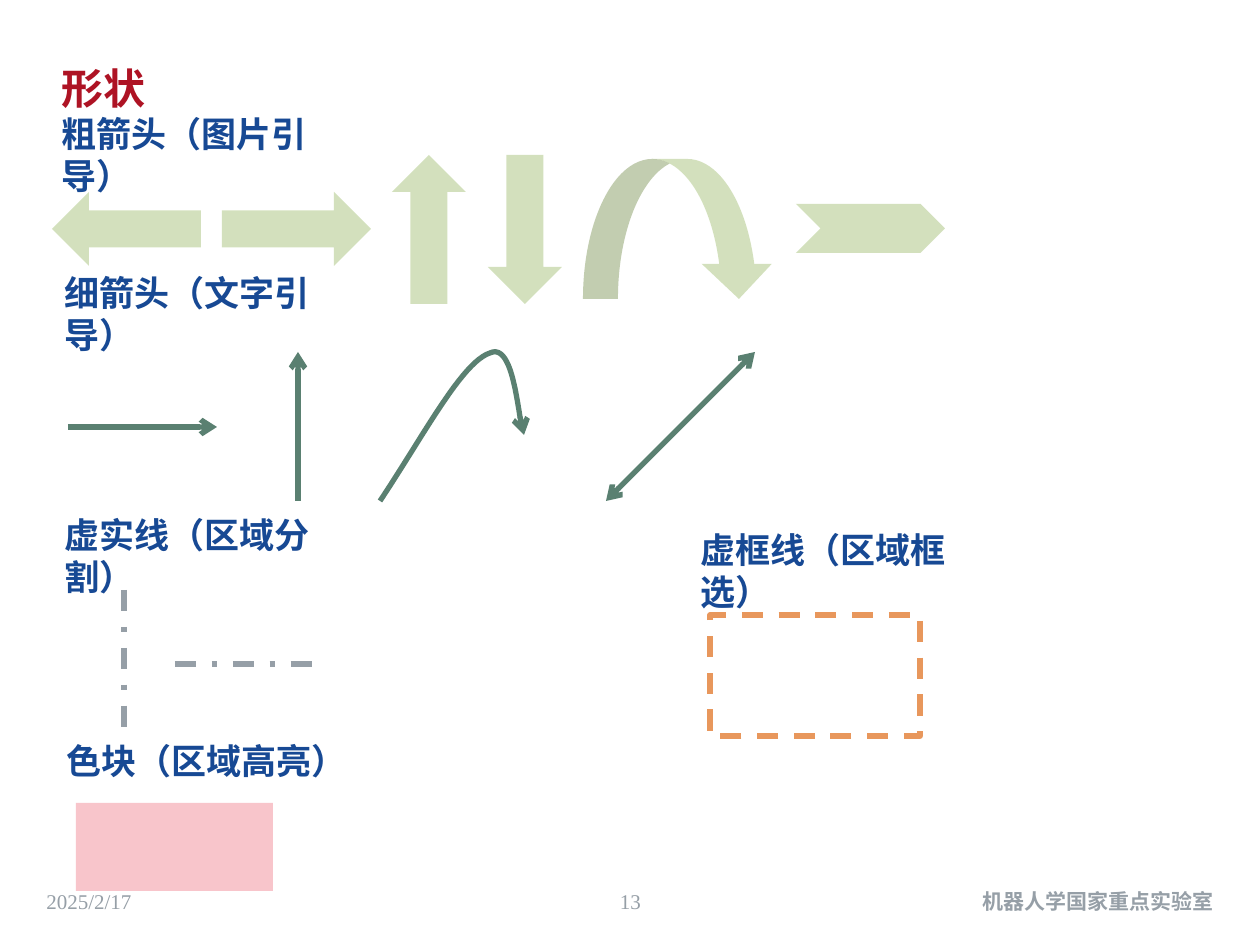
import pptx
import pptx.dml.color
import pptx.enum.dml
import pptx.enum.shapes
import pptx.enum.text
import pptx.oxml.ns
import pptx.util
from dataclasses import dataclass
from lxml import etree

Kind = pptx.enum.shapes.MSO_SHAPE
Dash = pptx.enum.dml.MSO_LINE
Align = pptx.enum.text.PP_ALIGN
qn = pptx.oxml.ns.qn
EMU_PER_PX = 914400 / 126


@dataclass(frozen=True)
class Theme:
    title: str = "AE1324"
    heading: str = "174994"
    footer: str = "969FA7"
    thick_arrow: str = "A9C37C"
    thin_arrow: str = "5A8071"
    divider: str = "969FA7"
    frame: str = "E8975C"
    block: str = "F38D98"
    title_size: int = 24
    heading_size: int = 20
    footer_size: int = 12
    line_width: int = 3
    serif: str = "Times New Roman"
    sans: str = "Noto Sans CJK SC"


THEME = Theme()


def px(value):
    return pptx.util.Emu(round(value * EMU_PER_PX))


def rgb(code):
    return pptx.dml.color.RGBColor.from_string(code)


def add_text(page, area, text, size, color, font, bold=False, align=Align.LEFT):
    box = page.shapes.add_textbox(*map(px, area))
    frame = box.text_frame
    frame.word_wrap = True
    frame.vertical_anchor = pptx.enum.text.MSO_ANCHOR.MIDDLE
    para = frame.paragraphs[0]
    para.text = text
    para.alignment = align
    para.font.size = pptx.util.Pt(size)
    para.font.bold = bold
    para.font.color.rgb = rgb(color)
    para.font.name = font
    # East Asian glyphs use the sans face
    properties = para._p.pPr.find(qn("a:defRPr"))
    etree.SubElement(properties, qn("a:ea"), typeface=THEME.sans)


def add_heading(page, left, top, text, width=312):
    add_text(page, (left, top, width, 55), text,
             THEME.heading_size, THEME.heading, THEME.sans, bold=True)


def add_footer(page, left, width, text, align, bold=False):
    add_text(page, (left, 876, width, 50), text,
             THEME.footer_size, THEME.footer, THEME.serif, bold, align)


def add_tinted_shape(page, kind, area, color):
    shape = page.shapes.add_shape(kind, *map(px, area))
    shape.shadow.inherit = False
    shape.line.fill.background()
    shape.fill.solid()
    shape.fill.fore_color.rgb = rgb(color)
    tint = shape._element.spPr.find(".//" + qn("a:srgbClr"))
    etree.SubElement(tint, qn("a:alpha"), val="50000")


def style_line(line, color, dash=None, ends=()):
    line.color.rgb = rgb(color)
    line.width = pptx.util.Pt(THEME.line_width)
    if dash is not None:
        line.dash_style = dash
    for end in ends:
        etree.SubElement(line._get_or_add_ln(), qn(f"a:{end}"), type="arrow")


def add_line(page, start, finish, color, dash=None, ends=()):
    connector = page.shapes.add_connector(
        pptx.enum.shapes.MSO_CONNECTOR.STRAIGHT, *map(px, start + finish))
    etree.SubElement(connector._element.spPr, qn("a:effectLst"))
    style_line(connector.line, color, dash, ends)


def bezier_points(start, first, second, finish, steps=24):
    for step in range(1, steps + 1):
        t = step / steps
        weights = ((1 - t) ** 3, 3 * t * (1 - t) ** 2, 3 * t * t * (1 - t), t ** 3)
        corners = (start, first, second, finish)
        yield tuple(px(sum(w * corner[axis] for w, corner in zip(weights, corners)))
                    for axis in (0, 1))


def add_curved_arrow(page, start, segments, color):
    builder = page.shapes.build_freeform(px(start[0]), px(start[1]))
    for segment in segments:
        builder.add_line_segments(bezier_points(start, *segment), close=False)
        start = segment[-1]
    curve = builder.convert_to_shape()
    curve.shadow.inherit = False
    curve.fill.background()
    style_line(curve.line, color, ends=("tailEnd",))


def add_dashed_frame(page, area):
    frame = page.shapes.add_shape(Kind.RECTANGLE, *map(px, area))
    frame.shadow.inherit = False
    frame.fill.background()
    style_line(frame.line, THEME.frame, Dash.DASH)


def main():
    deck = pptx.Presentation()
    deck.slide_width, deck.slide_height = px(1260), px(945)
    page = deck.slides.add_slide(deck.slide_layouts[6])

    # Footer and title
    add_footer(page, 34, 297, "2025/2/17", Align.LEFT)
    add_footer(page, 830, 396, "机器人学国家重点实验室", Align.RIGHT, bold=True)
    add_footer(page, 494, 273, "13", Align.CENTER)
    add_text(page, (49, 38, 536, 100), "形状",
             THEME.title_size, THEME.title, THEME.serif, bold=True)

    # Thick arrows
    for kind, area in (
        (Kind.LEFT_ARROW, (52, 192, 149, 74)),
        (Kind.RIGHT_ARROW, (222, 192, 149, 74)),
        (Kind.UP_ARROW, (392, 155, 74, 149)),
        (Kind.DOWN_ARROW, (488, 155, 74, 149)),
        (Kind.CURVED_DOWN_ARROW, (583, 159, 191, 140)),
        (Kind.CHEVRON, (796, 204, 149, 49)),
    ):
        add_tinted_shape(page, kind, area, THEME.thick_arrow)

    # Thin arrows
    for start, finish, ends in (
        ((68, 427), (217, 427), ("tailEnd",)),
        ((298, 501), (298, 352), ("tailEnd",)),
        ((606, 501), (755, 352), ("headEnd", "tailEnd")),
    ):
        add_line(page, start, finish, THEME.thin_arrow, ends=ends)
    add_curved_arrow(page, (380, 501), (
        ((424, 435), (462, 362), (490, 353)),
        ((515, 341), (518, 421), (524, 435)),
    ), THEME.thin_arrow)

    # Dividers, frame and colour block
    for start, finish in (((124, 590), (124, 738)), ((175, 664), (324, 664))):
        add_line(page, start, finish, THEME.divider, Dash.DASH_DOT)
    add_dashed_frame(page, (710, 615, 210, 121))
    add_tinted_shape(page, Kind.RECTANGLE, (76, 803, 197, 88), THEME.block)

    # Section headings
    add_heading(page, 49, 127, "粗箭头（图片引导）", width=328)
    add_heading(page, 52, 286, "细箭头（文字引导）")
    add_heading(page, 52, 528, "虚实线（区域分割）")
    add_heading(page, 688, 543, "虚框线（区域框选）")
    add_heading(page, 54, 733, "色块（区域高亮）")

    deck.save("out.pptx")


if __name__ == "__main__":
    main()
